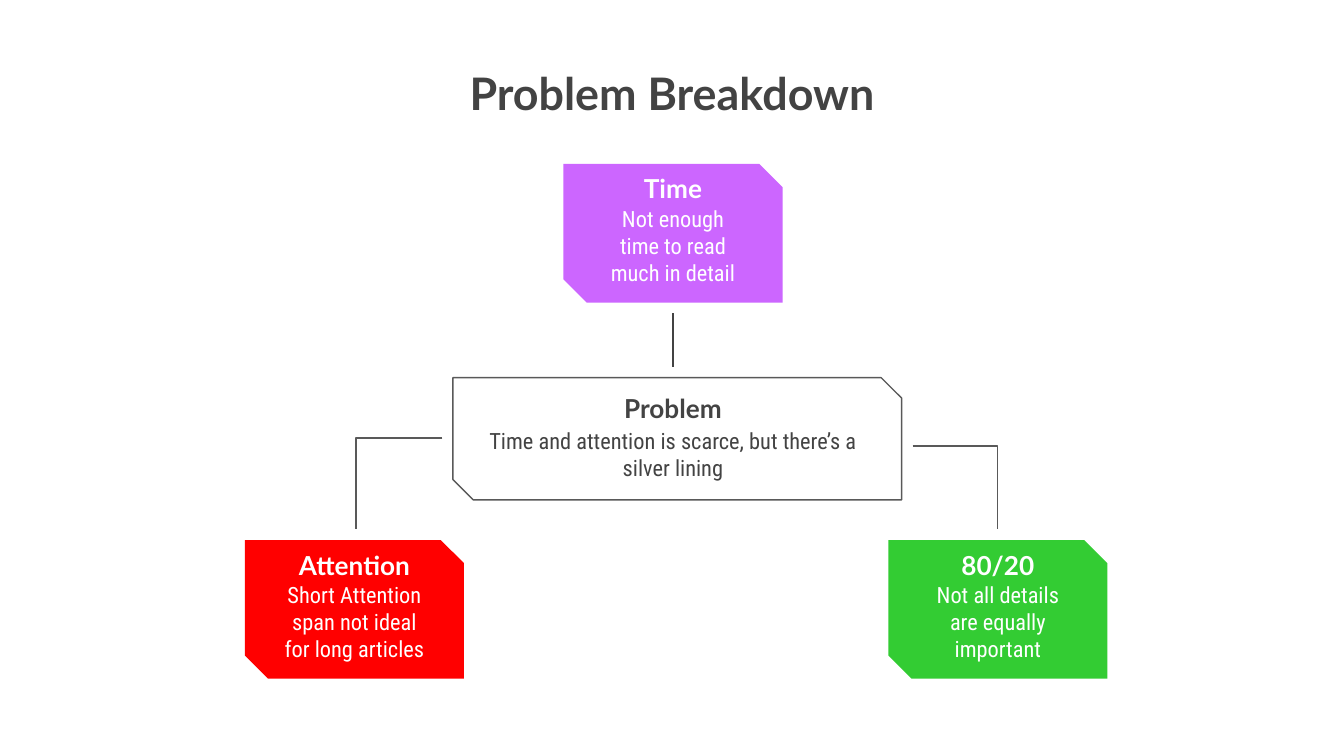
"""Build the Problem Breakdown slide: one problem linked to three causes."""
from dataclasses import dataclass

from lxml import etree
from pptx import Presentation
from pptx.dml.color import RGBColor
from pptx.enum.shapes import MSO_CONNECTOR, MSO_SHAPE
from pptx.enum.text import MSO_ANCHOR, PP_ALIGN
from pptx.oxml.ns import qn
from pptx.util import Cm, Pt

SNIPPED = MSO_SHAPE.SNIP_2_DIAG_RECTANGLE
STRAIGHT, ELBOW = MSO_CONNECTOR.STRAIGHT, MSO_CONNECTOR.ELBOW
TOP, BOTTOM = MSO_ANCHOR.TOP, MSO_ANCHOR.BOTTOM
CENTER = PP_ALIGN.CENTER


@dataclass(frozen=True)
class Theme:
    """Colours, fonts and type sizes."""
    ink: str = "434343"
    outline: str = "595959"
    white: str = "FFFFFF"
    time: str = "CC66FF"
    attention: str = "FF0000"
    pareto: str = "33CC33"
    heading_font: str = "Lato"
    body_font: str = "Roboto Condensed"
    title_size: int = 24
    heading_size: int = 14
    body_size: int = 12
    line_width: float = 0.75


THEME = Theme()
SLIDE_SIZE = (25.4, 14.29)
TITLE = ("Problem Breakdown", (5.46, 0.99, 14.48, 2.62))
MIDDLE = 12.72
HEADING_SIZE = (3.96, 1.09)

CAUSE = {"size": (4.14, 2.62), "heading_drop": -0.08, "body_drop": 0.53,
         "body_size": (3.23, 1.73), "ink": THEME.white}
CAUSES = [
    {"heading": "Attention", "body": "Short Attention span not ideal for long articles",
     "fill": THEME.attention, "center": 6.7, "top": 10.21},
    {"heading": "80/20", "body": "Not all details are equally important",
     "fill": THEME.pareto, "center": 18.86, "top": 10.21},
    {"heading": "Time", "body": "Not enough time to read much in detail",
     "fill": THEME.time, "center": MIDDLE, "top": 3.1},
]
PROBLEM = {"heading": "Problem",
           "body": "Time and attention is scarce, but there’s a silver lining",
           "fill": None, "center": MIDDLE, "top": 7.14, "size": (8.48, 2.31),
           "shift": 0.08, "heading_drop": 0.03, "body_drop": 0.69,
           "body_size": (7.7, 2.29), "ink": THEME.ink}
LINKS = [
    (STRAIGHT, (MIDDLE, 5.92), (MIDDLE, 6.93), THEME.ink),
    (ELBOW, (8.36, 8.28), (6.73, 10.0), THEME.outline),
    (ELBOW, (17.25, 8.43), (18.85, 10.0), THEME.outline),
]


def cm(values):
    return [Cm(value) for value in values]


def add_text(slide, words, box, font, size, ink, bold=False, anchor=TOP):
    frame = slide.shapes.add_textbox(*cm(box)).text_frame
    frame.word_wrap = True
    frame.vertical_anchor = anchor
    frame.margin_left = frame.margin_right = Cm(0.25)
    frame.margin_top = frame.margin_bottom = Cm(0.25)
    paragraph = frame.paragraphs[0]
    paragraph.alignment = CENTER
    run = paragraph.add_run()
    run.text = words
    run.font.name = font
    run.font.size = Pt(size)
    run.font.bold = bold
    run.font.color.rgb = RGBColor.from_string(ink)


def set_line(line, color):
    line.color.rgb = RGBColor.from_string(color)
    line.width = Pt(THEME.line_width)


def add_card(slide, card):
    center, top = card["center"], card["top"]
    width, height = card["size"]
    left = center - width / 2 + card.get("shift", 0)
    panel = slide.shapes.add_shape(SNIPPED, *cm((left, top, width, height)))
    panel.shadow.inherit = False
    panel.adjustments[0], panel.adjustments[1] = 0, 0.167
    if card["fill"]:
        panel.fill.solid()
        panel.fill.fore_color.rgb = RGBColor.from_string(card["fill"])
        panel.line.fill.background()
    else:
        panel.fill.background()
        set_line(panel.line, THEME.outline)

    def centered(size, drop):
        return center - size[0] / 2, top + drop, *size

    add_text(slide, card["heading"], centered(HEADING_SIZE, card["heading_drop"]),
             THEME.heading_font, THEME.heading_size, card["ink"], True, BOTTOM)
    add_text(slide, card["body"], centered(card["body_size"], card["body_drop"]),
             THEME.body_font, THEME.body_size, card["ink"])


def add_link(slide, kind, start, end, color):
    link = slide.shapes.add_connector(kind, *cm(start + end))
    set_line(link.line, color)
    properties = link._element.spPr
    etree.SubElement(properties, qn("a:effectLst"))
    if kind == ELBOW:
        guides = properties.find(qn("a:prstGeom")).find(qn("a:avLst"))
        etree.SubElement(guides, qn("a:gd"), name="adj1", fmla="val 100000")


def main():
    deck = Presentation()
    deck.slide_width, deck.slide_height = cm(SLIDE_SIZE)
    slide = deck.slides.add_slide(deck.slide_layouts[6])
    words, box = TITLE
    add_text(slide, words, box, THEME.heading_font, THEME.title_size, THEME.ink, True)
    for cause in CAUSES:
        add_card(slide, CAUSE | cause)
    add_card(slide, PROBLEM)
    for link in LINKS:
        add_link(slide, *link)
    deck.save("out.pptx")


if __name__ == "__main__":
    main()
